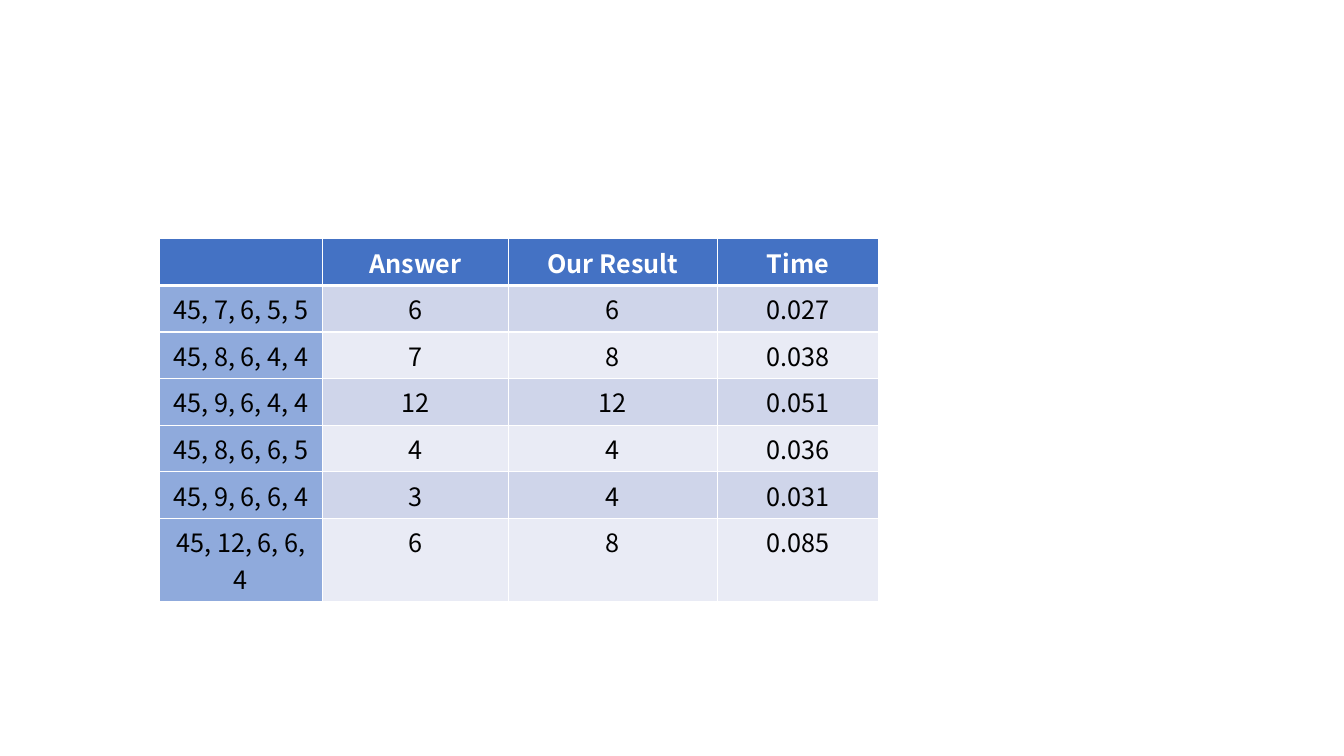
from lxml import etree
from pptx import Presentation
from pptx.dml.color import RGBColor
from pptx.enum.text import PP_ALIGN
from pptx.oxml.ns import qn
from pptx.util import Inches, Pt

CENTER = PP_ALIGN.CENTER
FONT = "Noto Sans CJK SC"
COLORS = {
    "head": "4472C4",
    "label": "8FAADC",
    "odd": "CFD5EA",
    "even": "E9EBF5",
    "white": "FFFFFF",
    "black": "000000",
}
WIDTHS = [1.62, 1.84, 2.08, 1.59]
ROWS = [
    ["", "Answer", "Our Result", "Time"],
    ["45, 7, 6, 5, 5", "6", "6", "0.027"],
    ["45, 8, 6, 4, 4", "7", "8", "0.038"],
    ["45, 9, 6, 4, 4", "12", "12", "0.051"],
    ["45, 8, 6, 6, 5", "4", "4", "0.036"],
    ["45, 9, 6, 6, 4", "3", "4", "0.031"],
    ["45, 12, 6, 6, 4", "6", "8", "0.085"],
]


def write(cell, text, color="black", bold=False, size=18):
    para = cell.text_frame.paragraphs[0]
    para.alignment = CENTER
    para.font.size = Pt(size)
    if text:
        run = para.add_run()
        run.text = text
        run.font.name = FONT
        run.font.size = Pt(size)
        run.font.bold = bold
        run.font.color.rgb = RGBColor.from_string(COLORS[color])


def border(cell, top=1, bottom=1):
    """Draw white lines on all four sides; call before setting the fill."""
    props = cell._tc.get_or_add_tcPr()
    for side, width in (("L", 1), ("R", 1), ("T", top), ("B", bottom)):
        line = etree.SubElement(props, qn("a:ln" + side), w=str(Pt(width)))
        fill = etree.SubElement(line, qn("a:solidFill"))
        etree.SubElement(fill, qn("a:srgbClr"), val=COLORS["white"])


prs = Presentation()
prs.slide_width = Inches(13.33)
prs.slide_height = Inches(7.5)
slide = prs.slides.add_slide(prs.slide_layouts[6])

frame = slide.shapes.add_table(
    len(ROWS), len(WIDTHS),
    Inches(1.58), Inches(2.37), Inches(sum(WIDTHS)), Inches(0.38 * len(ROWS)),
)
table = frame.table
for col, width in zip(table.columns, WIDTHS):
    col.width = Inches(width)

for r, row in enumerate(ROWS):
    table.rows[r].height = Inches(0.38)
    for c, text in enumerate(row):
        cell = table.cell(r, c)
        border(cell, top=3 if r == 1 else 1, bottom=3 if r == 0 else 1)
        if r == 0:
            shade = "head"
        elif c == 0:
            shade = "label"
        else:
            shade = "odd" if r % 2 else "even"
        cell.fill.solid()
        cell.fill.fore_color.rgb = RGBColor.from_string(COLORS[shade])
        write(cell, text, color="black" if r else "white", bold=r == 0)

prs.save("out.pptx")
